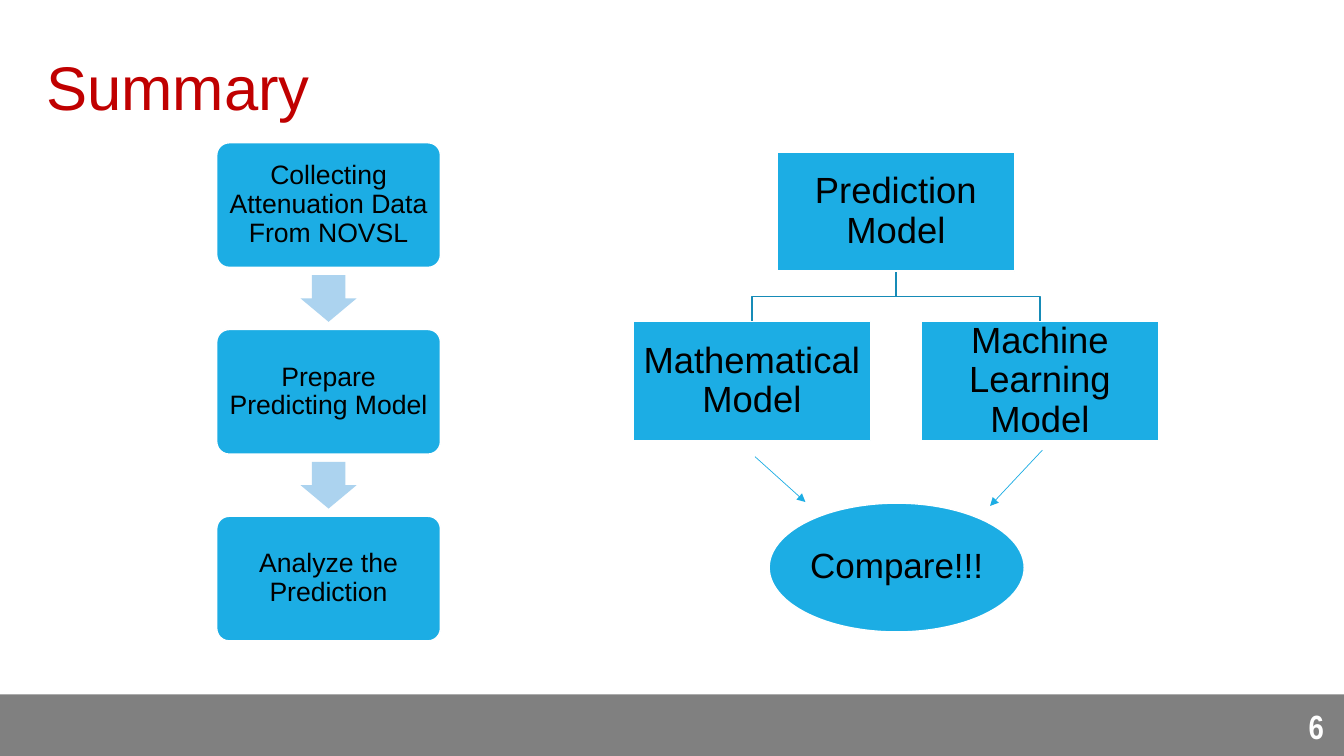
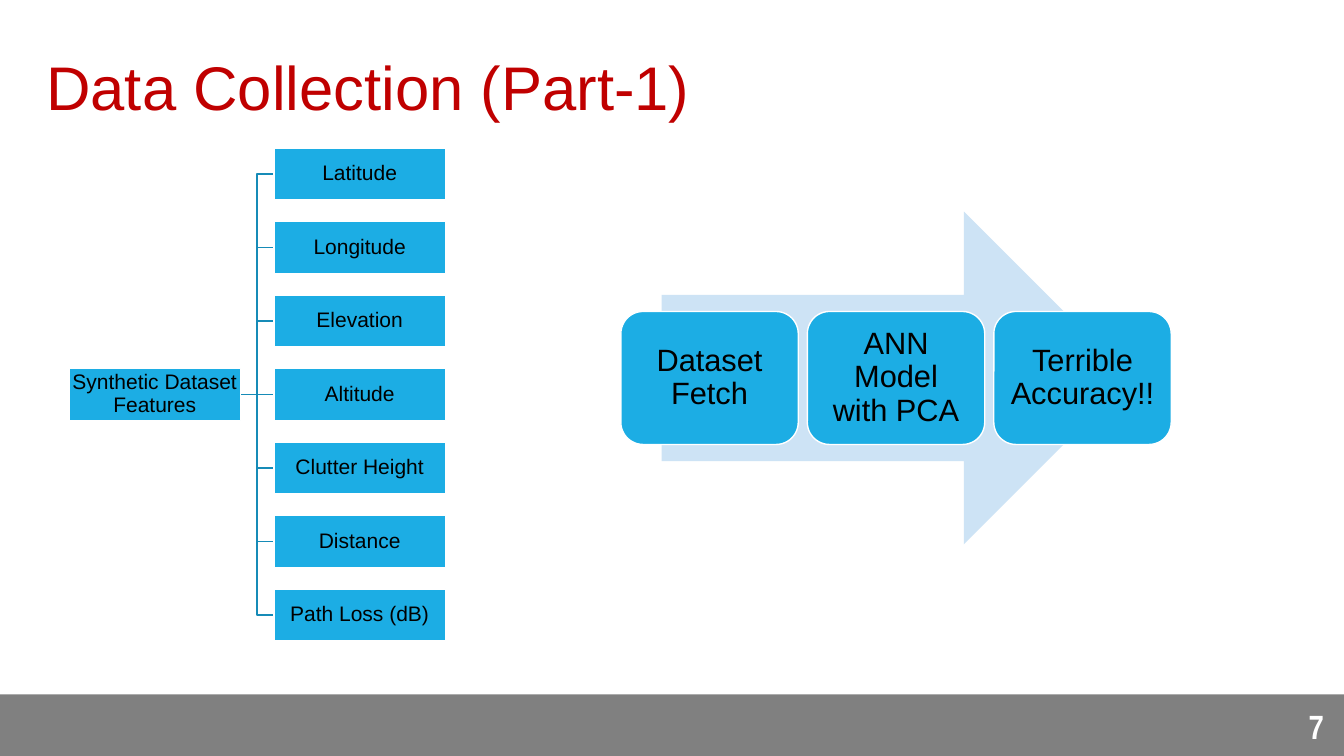
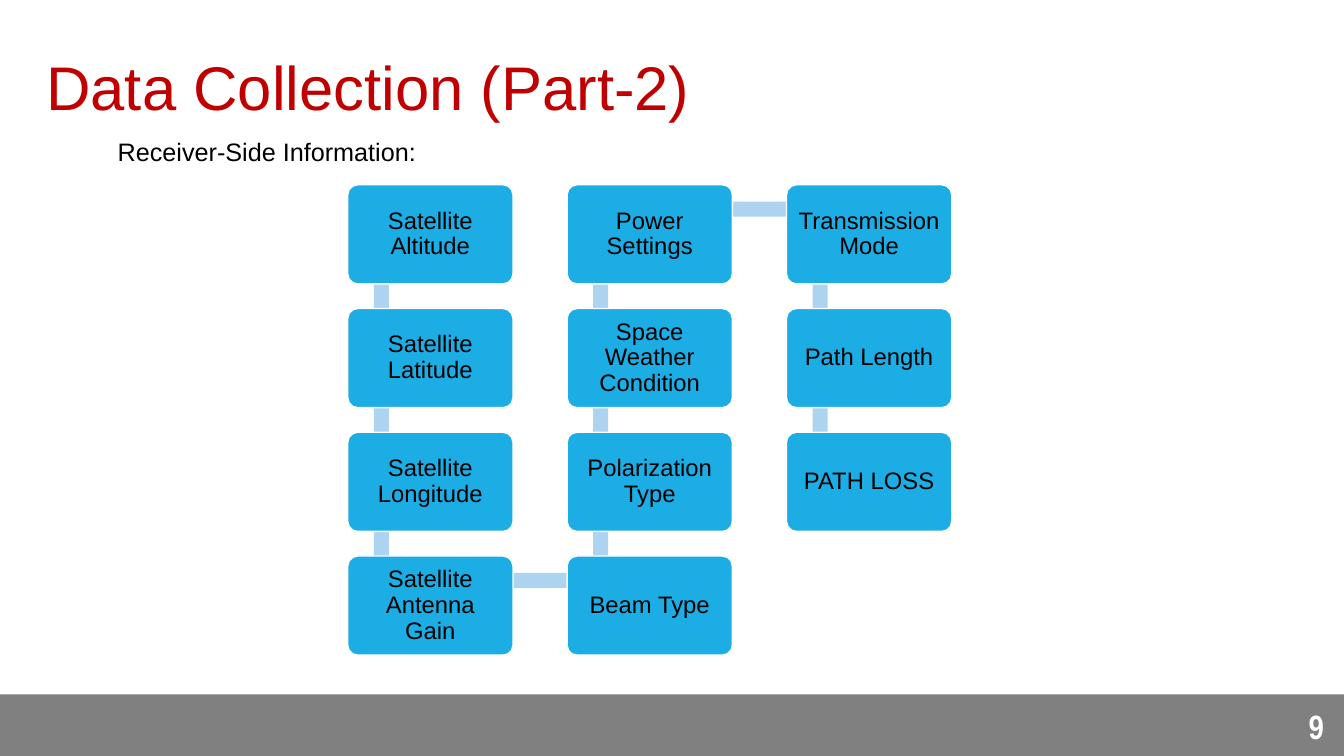
from dataclasses import dataclass
from itertools import pairwise
from typing import Optional

from pptx import Presentation
from pptx.dml.color import RGBColor
from pptx.enum.shapes import MSO_CONNECTOR, MSO_SHAPE
from pptx.enum.text import MSO_ANCHOR, PP_ALIGN
from pptx.oxml.xmlchemy import OxmlElement
from pptx.util import Pt


@dataclass(frozen=True)
class Theme:
    title: str = "C00000"
    band: str = "808080"
    accent: str = "1CADE4"
    accent_dark: str = "168BB7"
    accent_light: str = "ACD3EF"
    accent_pale: str = "CDE3F5"
    white: str = "FFFFFF"
    black: str = "000000"
    font: str = "Arial"
    number_font: str = "Arial Narrow"
    title_size: float = 44
    number_size: float = 24
    root_size: float = 26
    compare_size: float = 25
    card_size: float = 22
    step_size: float = 19
    label_size: float = 18
    chain_size: float = 17
    feature_size: float = 15


THEME = Theme()


@dataclass(frozen=True)
class Box:
    left: float
    top: float
    width: float
    height: float

    @property
    def right(self) -> float:
        return self.left + self.width

    @property
    def bottom(self) -> float:
        return self.top + self.height

    @property
    def center(self) -> float:
        return self.left + self.width / 2

    @property
    def middle(self) -> float:
        return self.top + self.height / 2

    def moved(self, right: float = 0, down: float = 0) -> "Box":
        return Box(self.left + right, self.top + down, self.width, self.height)

    def in_points(self) -> tuple:
        return Pt(self.left), Pt(self.top), Pt(self.width), Pt(self.height)


@dataclass(frozen=True)
class NodeStyle:
    """Look of one family of filled, captioned shapes."""
    kind: MSO_SHAPE
    size: float
    margin: float
    corner: Optional[float] = None


STEP = NodeStyle(MSO_SHAPE.ROUNDED_RECTANGLE, THEME.step_size, 5.7, 0.1)
MODEL = NodeStyle(MSO_SHAPE.RECTANGLE, THEME.root_size, 1.4)
COMPARE = NodeStyle(MSO_SHAPE.OVAL, THEME.compare_size, 2.2)
FEATURE = NodeStyle(MSO_SHAPE.RECTANGLE, THEME.feature_size, 0.7)
CARD = NodeStyle(MSO_SHAPE.ROUNDED_RECTANGLE, THEME.card_size, 6.5)
CHAIN = NodeStyle(MSO_SHAPE.ROUNDED_RECTANGLE, THEME.chain_size, 5, 0.1)

BAND = Box(0, 496, 960, 44)
TITLE = Box(26, 36, 909, 57.6)
NUMBER = Box(899.5, 503.5, 53.3, 33)


def write_text(shape, text: str, *, size: float, color: str = THEME.black,
               font: str = THEME.font, bold: bool = False, align=PP_ALIGN.LEFT,
               anchor=MSO_ANCHOR.MIDDLE, spacing: float = 1.0,
               margin: Optional[float] = None, wrap: bool = True) -> None:
    frame = shape.text_frame
    frame.word_wrap = wrap
    frame.vertical_anchor = anchor
    if margin is not None:
        frame.margin_left = frame.margin_right = Pt(margin)
        frame.margin_top = frame.margin_bottom = Pt(margin)
    paragraph = frame.paragraphs[0]
    paragraph.alignment = align
    paragraph.line_spacing = spacing
    run = paragraph.add_run()
    run.text = text
    run.font.size = Pt(size)
    run.font.name = font
    run.font.bold = bold
    run.font.color.rgb = RGBColor.from_string(color)


def add_text(slide, box: Box, text: str, **text_format) -> None:
    write_text(slide.shapes.add_textbox(*box.in_points()), text, **text_format)


def add_filled(slide, kind, box: Box, fill: str, outline: Optional[str] = None):
    shape = slide.shapes.add_shape(kind, *box.in_points())
    shape.shadow.inherit = False
    shape.fill.solid()
    shape.fill.fore_color.rgb = RGBColor.from_string(fill)
    if outline:
        shape.line.color.rgb = RGBColor.from_string(outline)
        shape.line.width = Pt(1)
    else:
        shape.line.fill.background()
    return shape


def add_node(slide, box: Box, text: str, style: NodeStyle) -> None:
    shape = add_filled(slide, style.kind, box, THEME.accent, THEME.white)
    if style.corner is not None:
        shape.adjustments[0] = style.corner
    write_text(shape, text, size=style.size, align=PP_ALIGN.CENTER,
               spacing=0.9, margin=style.margin)


def add_line(slide, start: tuple, end: tuple, color: str, width: float,
             arrow: bool = False) -> None:
    connector = slide.shapes.add_connector(
        MSO_CONNECTOR.STRAIGHT, *(Pt(value) for value in (*start, *end)))
    connector.line.color.rgb = RGBColor.from_string(color)
    connector.line.width = Pt(width)
    if arrow:
        head = OxmlElement("a:tailEnd")
        head.set("type", "triangle")
        connector.line._get_or_add_ln().append(head)
    connector._element.spPr.append(OxmlElement("a:effectLst"))


def add_branch(slide, *points: tuple) -> None:
    """Draw an open bent line through the points."""
    start, *others = [(Pt(x), Pt(y)) for x, y in points]
    builder = slide.shapes.build_freeform(*start)
    builder.add_line_segments(others, close=False)
    shape = builder.convert_to_shape()
    shape.shadow.inherit = False
    shape.fill.background()
    shape.line.color.rgb = RGBColor.from_string(THEME.accent_dark)
    shape.line.width = Pt(1)


def add_base_slide(presentation, title: str, number: int):
    """Add a blank slide with the shared band, title and slide number."""
    slide = presentation.slides.add_slide(presentation.slide_layouts[6])
    add_filled(slide, MSO_SHAPE.RECTANGLE, BAND, THEME.band)
    add_text(slide, TITLE, title, size=THEME.title_size, color=THEME.title, spacing=0.9)
    add_text(slide, NUMBER, str(number), size=THEME.number_size, color=THEME.white,
             font=THEME.number_font, bold=True, align=PP_ALIGN.RIGHT,
             anchor=MSO_ANCHOR.BOTTOM)
    return slide


def add_steps(slide, steps: list) -> None:
    """Stack the steps with a down arrow in each gap."""
    first, pitch = Box(154.8, 102, 159.8, 89), 133.4
    arrow_width, arrow_height = 40, 33.4
    boxes = [first.moved(down=index * pitch) for index in range(len(steps))]
    for box, text in zip(boxes, steps):
        add_node(slide, box, text, STEP)
    for upper, lower in pairwise(boxes):
        top = (upper.bottom + lower.top - arrow_height) / 2
        arrow = add_filled(
            slide, MSO_SHAPE.DOWN_ARROW,
            Box(upper.center - arrow_width / 2, top, arrow_width, arrow_height),
            THEME.accent_light)
        arrow.adjustments[0] = 0.6


def add_model_tree(slide) -> None:
    root = Box(555.1, 108.7, 169.8, 85)
    down, spread = 121, 102.9
    children = {
        "Mathematical Model": root.moved(-spread, down),
        "Machine Learning Model": root.moved(spread, down),
    }
    for child in children.values():
        turn = (root.bottom + child.top) / 2
        add_branch(slide, (root.center, root.bottom), (root.center, turn),
                   (child.center, turn), (child.center, child.top))
    add_node(slide, root, "Prediction Model", MODEL)
    for text, child in children.items():
        add_node(slide, child, text, MODEL)


def build_summary(presentation) -> None:
    slide = add_base_slide(presentation, "Summary", 6)
    add_steps(slide, ["Collecting Attenuation Data From NOVSL",
                      "Prepare Predicting Model",
                      "Analyze the Prediction"])
    add_model_tree(slide)
    add_node(slide, Box(549.4, 359.4, 182.2, 92), "Compare!!!", COMPARE)
    for start, end in [((539.3, 326.2), (575.3, 358.6)),
                       ((744.5, 321.6), (707.2, 361.4))]:
        add_line(slide, start, end, THEME.accent, 0.5, arrow=True)


def add_feature_tree(slide, root_text: str, features: list) -> None:
    first, pitch = Box(195.8, 105.7, 122.3, 37.3), 52.5
    boxes = [first.moved(down=index * pitch) for index in range(len(features))]
    root = boxes[len(boxes) // 2].moved(right=-146.4)
    turn = (root.right + first.left) / 2
    start = (root.right, root.middle)
    for box in boxes:
        end = (box.left, box.middle)
        if box.top == root.top:
            add_line(slide, start, end, THEME.accent_dark, 1)
        else:
            add_branch(slide, start, (turn, root.middle), (turn, box.middle), end)
    add_node(slide, root, root_text, FEATURE)
    for box, text in zip(boxes, features):
        add_node(slide, box, text, FEATURE)


def build_collection_one(presentation) -> None:
    slide = add_base_slide(presentation, "Data Collection (Part-1)", 7)
    add_feature_tree(slide, "Synthetic Dataset Features",
                     ["Latitude", "Longitude", "Elevation", "Altitude",
                      "Clutter Height", "Distance", "Path Loss (dB)"])
    add_filled(slide, MSO_SHAPE.RIGHT_ARROW, Box(472.5, 151.2, 334.8, 237.6),
               THEME.accent_pale)
    first, pitch = Box(443.5, 222.5, 126.7, 95), 133.2
    for index, text in enumerate(["Dataset Fetch", "ANN Model with PCA",
                                  "Terrible Accuracy!!"]):
        add_node(slide, first.moved(right=index * pitch), text, CARD)


def add_chain(slide, texts: list) -> None:
    """Place cards down and up the columns in turn, linked by bars behind them."""
    first, column_pitch, row_pitch, rows = Box(248.4, 132, 118, 70.8), 156.7, 88.4, 4
    bar, inset_x, inset_y = 10.8, 24, 17.4
    boxes = []
    for index in range(len(texts)):
        column, row = divmod(index, rows)
        if column % 2:
            row = rows - 1 - row
        boxes.append(first.moved(column * column_pitch, row * row_pitch))
    for box, following in pairwise(boxes):
        link = Box(min(box.left, following.left) + inset_x - bar / 2,
                   min(box.top, following.top) + inset_y - bar / 2,
                   abs(following.left - box.left) + bar,
                   abs(following.top - box.top) + bar)
        add_filled(slide, MSO_SHAPE.RECTANGLE, link, THEME.accent_light)
    for box, text in zip(boxes, texts):
        add_node(slide, box, text, CHAIN)


def build_collection_two(presentation) -> None:
    slide = add_base_slide(presentation, "Data Collection (Part-2)", 9)
    add_chain(slide, ["Satellite Altitude", "Satellite Latitude",
                      "Satellite Longitude", "Satellite Antenna Gain",
                      "Beam Type", "Polarization Type",
                      "Space Weather Condition", "Power Settings",
                      "Transmission Mode", "Path Length", "PATH LOSS"])
    add_text(slide, Box(77, 93.6, 229.7, 29), "Receiver-Side Information:",
             size=THEME.label_size, anchor=MSO_ANCHOR.TOP, wrap=False)


def main() -> None:
    presentation = Presentation()
    presentation.slide_width, presentation.slide_height = Pt(960), Pt(540)
    build_summary(presentation)
    build_collection_one(presentation)
    build_collection_two(presentation)
    presentation.save("out.pptx")


if __name__ == "__main__":
    main()
